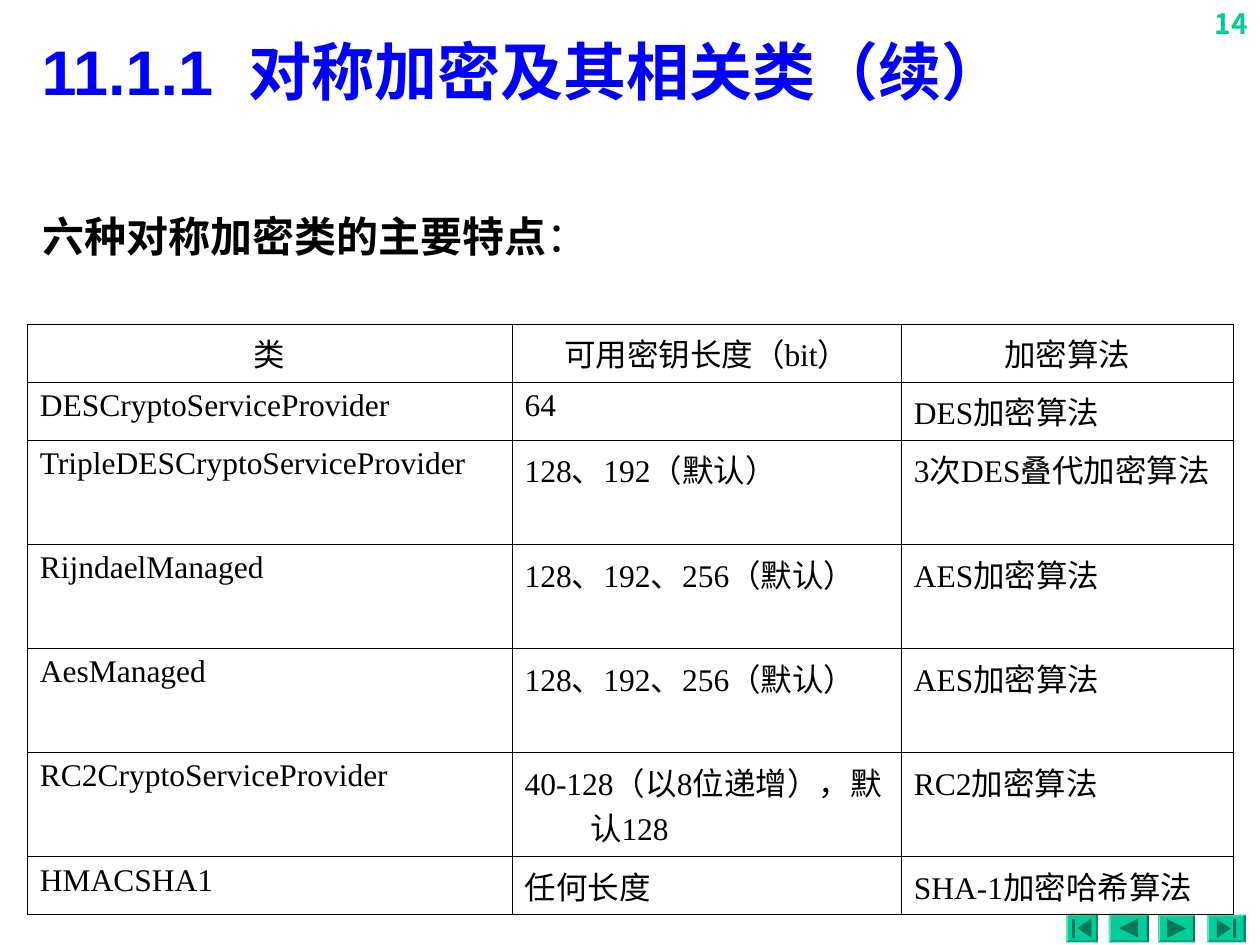
from dataclasses import dataclass

from lxml import etree
from pptx import Presentation
from pptx.dml.color import RGBColor
from pptx.enum.text import MSO_ANCHOR, MSO_AUTO_SIZE, PP_ALIGN
from pptx.oxml.ns import qn
from pptx.util import Cm, Pt

LEFT, MID, RIGHT = PP_ALIGN.LEFT, PP_ALIGN.CENTER, PP_ALIGN.RIGHT
TOP, CENTRE = MSO_ANCHOR.TOP, MSO_ANCHOR.MIDDLE
GROW, FIXED = MSO_AUTO_SIZE.SHAPE_TO_FIT_TEXT, MSO_AUTO_SIZE.NONE

COLORS = {"title": "0000FF", "text": "000000", "accent": "00CC99"}
HAN = "Noto Sans CJK SC"

# Font formats
TITLE = {"name": "Arial", "size": Pt(36), "bold": True}
NUMBER = {"name": "Noto Sans CJK KR", "size": Pt(16), "bold": True}
LEAD = {"name": HAN, "size": Pt(24), "bold": True}
COLON = {**LEAD, "bold": False}
CELL = {"name": "Times New Roman", "size": Pt(18), "bold": False}

# Table content
COLS = (9.77, 7.85, 6.69)
ONE, TWO = 1.17, 2.1  # heights of rows with one and two lines
ROWS = (ONE, ONE, TWO, TWO, TWO, TWO, ONE)
DATA = (
    ("类", "可用密钥长度（bit）", "加密算法"),
    ("DESCryptoServiceProvider", "64", "DES加密算法"),
    ("TripleDESCryptoServiceProvider", "128、192（默认）", "3次DES叠代加密算法"),
    ("RijndaelManaged", "128、192、256（默认）", "AES加密算法"),
    ("AesManaged", "128、192、256（默认）", "AES加密算法"),
    ("RC2CryptoServiceProvider", "40-128（以8位递增），默认128", "RC2加密算法"),
    ("HMACSHA1", "任何长度", "SHA-1加密哈希算法"),
)


@dataclass
class Label:
    box: tuple
    runs: tuple
    color: str
    align: int = LEFT
    anchor: int = TOP
    fit: int = GROW
    before: int = 0


@dataclass
class Button:
    left: float
    top: float
    width: float
    height: float
    way: int  # -1 points left, 1 points right
    bar: bool


LABELS = (
    Label((24, 0, 1.4, 1.02), (("14", NUMBER),), "accent", RIGHT, before=10),
    Label((0.59, 0.48, 24.18, 1.88), (("11.1.1  对称加密及其相关类（续）", TITLE),),
          "title", anchor=CENTRE, fit=FIXED),
    Label((0.61, 4.11, 15.72, 1.27),
          (("六种对称加密类的主要特点", LEAD), ("：", COLON)), "text", before=15),
)
BUTTONS = (
    Button(21.49, 18.42, 0.64, 0.58, -1, True),
    Button(22.35, 18.42, 0.81, 0.58, -1, False),
    Button(23.35, 18.44, 0.74, 0.56, 1, False),
    Button(24.33, 18.44, 0.78, 0.56, 1, True),
)


def add_run(para, text: str, style: dict, color: str) -> None:
    run = para.add_run()
    run.text = text
    for key, value in style.items():
        setattr(run.font, key, value)
    run.font.color.rgb = RGBColor.from_string(COLORS[color])
    face = etree.SubElement(run.font._element, qn("a:ea"))
    face.set("typeface", HAN)


def add_label(slide, label: Label) -> None:
    frame = slide.shapes.add_textbox(*map(Cm, label.box)).text_frame
    form = {"word_wrap": True, "auto_size": label.fit,
            "vertical_anchor": label.anchor}
    for key, value in form.items():
        setattr(frame, key, value)
    para = frame.paragraphs[0]
    para.alignment = label.align
    para.space_before = Pt(label.before)
    for text, style in label.runs:
        add_run(para, text, style, label.color)


def add_button(slide, btn: Button) -> None:
    x1, y1 = btn.left, btn.top
    x2, y2 = x1 + btn.width, y1 + btn.height
    edge, half = 0.04, 0.19
    outer = [(x1, y1), (x2, y1), (x2, y2), (x1, y2)]
    inner = [(x1 + edge, y1 + edge), (x2 - edge, y1 + edge),
             (x2 - edge, y2 - edge), (x1 + edge, y2 - edge)]
    parts = [(outer, "norm")]

    # Bevel sides: top, right, bottom, left
    for i, tone in enumerate(("lightenLess", "darken", "darkenLess", "lighten")):
        j = (i + 1) % 4
        parts.append(([outer[i], outer[j], inner[j], inner[i]], tone))

    # Arrow, with an end bar on the first and last button
    cx, cy = (x1 + x2) / 2, (y1 + y2) / 2
    tip, base = cx + btn.way * half, cx - btn.way * half
    if btn.bar:
        stop = cx + btn.way * 0.14
        parts.append(([(stop, cy - half), (tip, cy - half),
                       (tip, cy + half), (stop, cy + half)], "darken"))
        tip = cx + btn.way * 0.09
    parts.append(([(tip, cy), (base, cy - half), (base, cy + half)], "darken"))

    build = None
    for points, _ in parts:
        first, *rest = [(Cm(x), Cm(y)) for x, y in points]
        if build is None:
            build = slide.shapes.build_freeform(*first)
        else:
            build.move_to(*first)
        build.add_line_segments(rest)
    shape = build.convert_to_shape()
    shape.shadow.inherit = False
    shape.fill.solid()
    shape.fill.fore_color.rgb = RGBColor.from_string(COLORS["accent"])
    shape.line.fill.background()

    # Give each contour its own shade
    whole = shape._element.find(".//" + qn("a:path"))
    group, steps, size = whole.getparent(), list(whole), dict(whole.attrib)
    group.remove(whole)
    tones = iter(parts)
    for step in steps:
        if step.tag == qn("a:moveTo"):
            tone = next(tones)[1]
            part = etree.SubElement(group, qn("a:path"), {**size, "fill": tone})
        part.append(step)


def add_border(cell) -> None:
    props = cell._tc.get_or_add_tcPr()
    for side in ("lnL", "lnR", "lnT", "lnB"):
        line = etree.SubElement(props, qn("a:" + side), w=str(Pt(0.45)))
        fill = etree.SubElement(line, qn("a:solidFill"))
        etree.SubElement(fill, qn("a:srgbClr"), val=COLORS["text"])


def add_grid(slide) -> None:
    frame = slide.shapes.add_table(len(ROWS), len(COLS), Cm(0.55), Cm(6.53),
                                   Cm(sum(COLS)), Cm(sum(ROWS)))
    table = frame.table
    table.first_row = table.horz_banding = False
    for col, width in zip(table.columns, COLS):
        col.width = Cm(width)
    for r, (row, height) in enumerate(zip(table.rows, ROWS)):
        row.height = Cm(height)
        for cell, text in zip(row.cells, DATA[r]):
            add_border(cell)
            cell.fill.background()
            para = cell.text_frame.paragraphs[0]
            para.alignment = LEFT if r else MID
            hang = Cm(1.32)
            props = para._p.get_or_add_pPr()
            props.set("marL", str(hang))
            props.set("indent", str(-hang))
            add_run(para, text, CELL, "text")


def main() -> None:
    deck = Presentation()
    deck.slide_width, deck.slide_height = Cm(25.4), Cm(19.05)
    slide = deck.slides.add_slide(deck.slide_layouts[6])
    number, title, lead = LABELS
    add_label(slide, number)
    for btn in BUTTONS:
        add_button(slide, btn)
    add_label(slide, title)
    add_grid(slide)
    add_label(slide, lead)
    deck.save("out.pptx")


if __name__ == "__main__":
    main()
